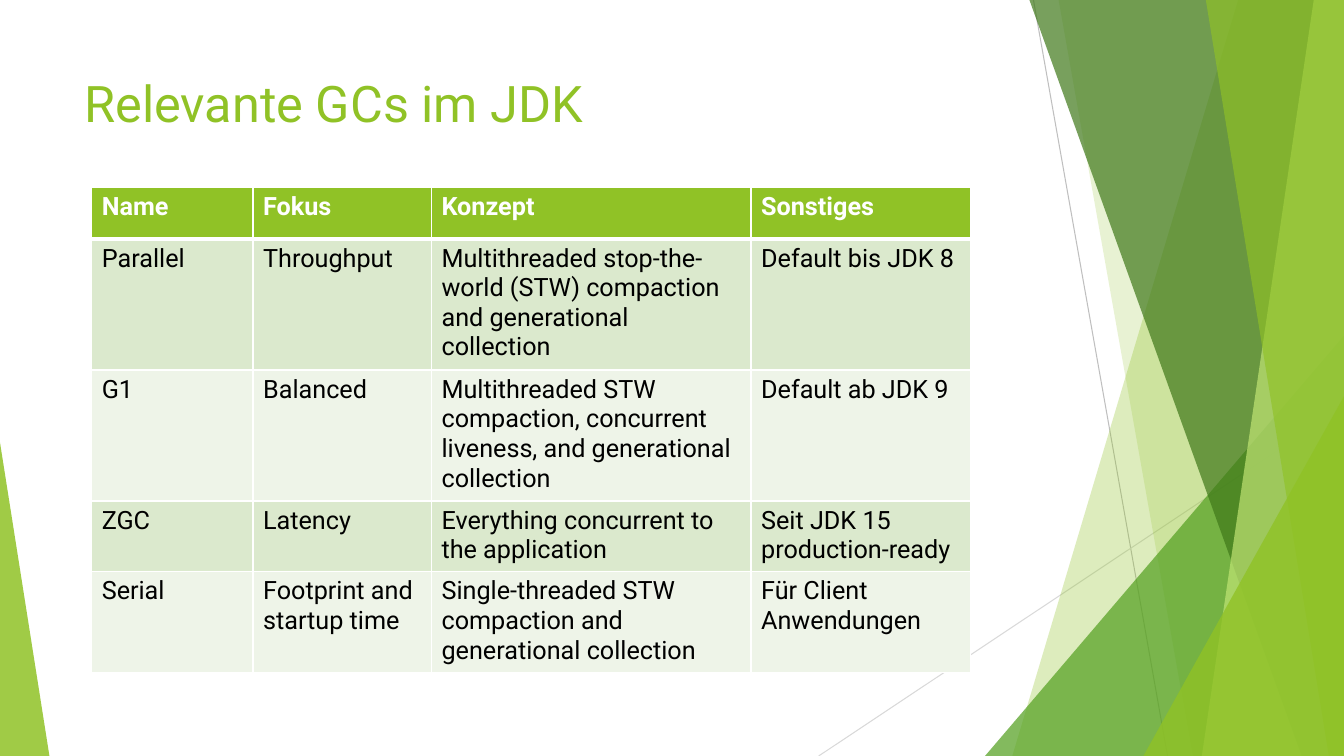
"""Builds a slide with a table of the garbage collectors in the JDK."""
from lxml import etree
from pptx import Presentation
from pptx import util as u
from pptx.dml.color import RGBColor
from pptx.enum import shapes, text
from pptx.oxml import ns

WIDE, HIGH = 13.33, 7.5
GREEN = "90C226"


def paint(fill, tone, alpha=100):
    fill.solid()
    fill.fore_color.rgb = RGBColor.from_string(tone)
    if alpha < 100:
        hue = fill._xPr.find(".//" + ns.qn("a:srgbClr"))
        etree.SubElement(hue, ns.qn("a:alpha")).set("val", str(alpha * 1000))


def write(frame, words, **form):
    run = frame.paragraphs[0].add_run()
    run.text = words
    run.font.name = "Roboto"
    run.font.color.rgb = RGBColor.from_string(form.pop("tone"))
    for key, val in form.items():
        setattr(run.font, key, val)


deck = Presentation()
deck.slide_width, deck.slide_height = u.Inches(WIDE), u.Inches(HIGH)
slide = deck.slides.add_slide(deck.slide_layouts[6])
pool = slide.shapes

rays = [(10.25, 0, 11.58, HIGH, "BFBFBF"), (WIDE, 4.03, 8.12, HIGH, "D9D9D9")]
for *ends, tone in rays:
    ray = pool.add_connector(shapes.MSO_CONNECTOR.STRAIGHT, *map(u.Inches, ends))
    ray.line.width = u.Pt(0.75)
    paint(ray.line.fill, tone)
    etree.SubElement(ray._element.spPr, ns.qn("a:effectLst"))

facets = [
    ("band", (12.28, 10.04), GREEN, 30),
    ("band", (10.5, 11.83), GREEN, 20),
    ("wedge", (9.77, 3.33, 3.56, 1), "54A021", 72),
    ("band", (10.21, 12.91), "3F7819", 70),
    ("band", (13.03, 11.92), "C0E474", 70),
    ("band", (11.96, 13.18), GREEN, 65),
    ("wedge", (11.34, 3.93, 1.99, 1), GREEN, 80),
    ("wedge", (0, 4.39, 0.49, 0), GREEN, 85),
]
for kind, size, tone, alpha in facets:
    if kind == "band":
        top, foot = size
        path = pool.build_freeform(u.Inches(top), 0)
        edge = [(WIDE, 0), (WIDE, HIGH), (foot, HIGH)]
        path.add_line_segments([(u.Inches(x), u.Inches(y)) for x, y in edge])
        facet = path.convert_to_shape()
    else:
        left, top, width, peak = size
        box = map(u.Inches, (left, top, width, HIGH - top))
        facet = pool.add_shape(shapes.MSO_SHAPE.ISOSCELES_TRIANGLE, *box)
        facet.adjustments[0] = peak
    facet.shadow.inherit = False
    facet.line.fill.background()
    paint(facet.fill, tone, alpha)

title = pool.add_textbox(*map(u.Inches, (0.74, 0.67, 9.4, 0.99))).text_frame
title.word_wrap = True
title.vertical_anchor = text.MSO_ANCHOR.TOP
write(title, "Relevante GCs im JDK", tone=GREEN, size=u.Pt(36))

rows = [
    ("Name", "Fokus", "Konzept", "Sonstiges"),
    ("Parallel", "Throughput",
     "Multithreaded stop-the-world (STW) compaction and generational collection",
     "Default bis JDK 8"),
    ("G1", "Balanced",
     "Multithreaded STW compaction, concurrent liveness, and generational collection",
     "Default ab JDK 9"),
    ("ZGC", "Latency", "Everything concurrent to the application",
     "Seit JDK 15 production-ready"),
    ("Serial", "Footprint and startup time",
     "Single-threaded STW compaction and generational collection",
     "Für Client Anwendungen"),
]
widths = [1.6, 1.77, 3.17, 2.18]
heights = [0.51, 1.27, 1.27, 0.69, 0.98]
area = map(u.Inches, (0.91, 1.86, sum(widths), sum(heights)))
table = pool.add_table(len(rows), len(widths), *area).table
for col, width in zip(table.columns, widths):
    col.width = u.Inches(width)
for r, (row, height) in enumerate(zip(rows, heights)):
    table.rows[r].height = u.Inches(height)
    head = r == 0
    back = GREEN if head else ("EEF4E8", "DBE9CD")[r % 2]
    for c, words in enumerate(row):
        cell = table.cell(r, c)
        props = cell._tc.get_or_add_tcPr()
        for side in "LRTB":
            thick = (head and side == "B") or (r == 1 and side == "T")
            rule = etree.SubElement(props, ns.qn("a:ln" + side))
            rule.set("w", str(u.Pt(3 if thick else 1)))
            solid = etree.SubElement(rule, ns.qn("a:solidFill"))
            etree.SubElement(solid, ns.qn("a:srgbClr")).set("val", "FFFFFF")
        paint(cell.fill, back)
        write(cell.text_frame, words, tone="FFFFFF" if head else "000000",
              size=u.Pt(18), bold=head)

deck.save("out.pptx")
